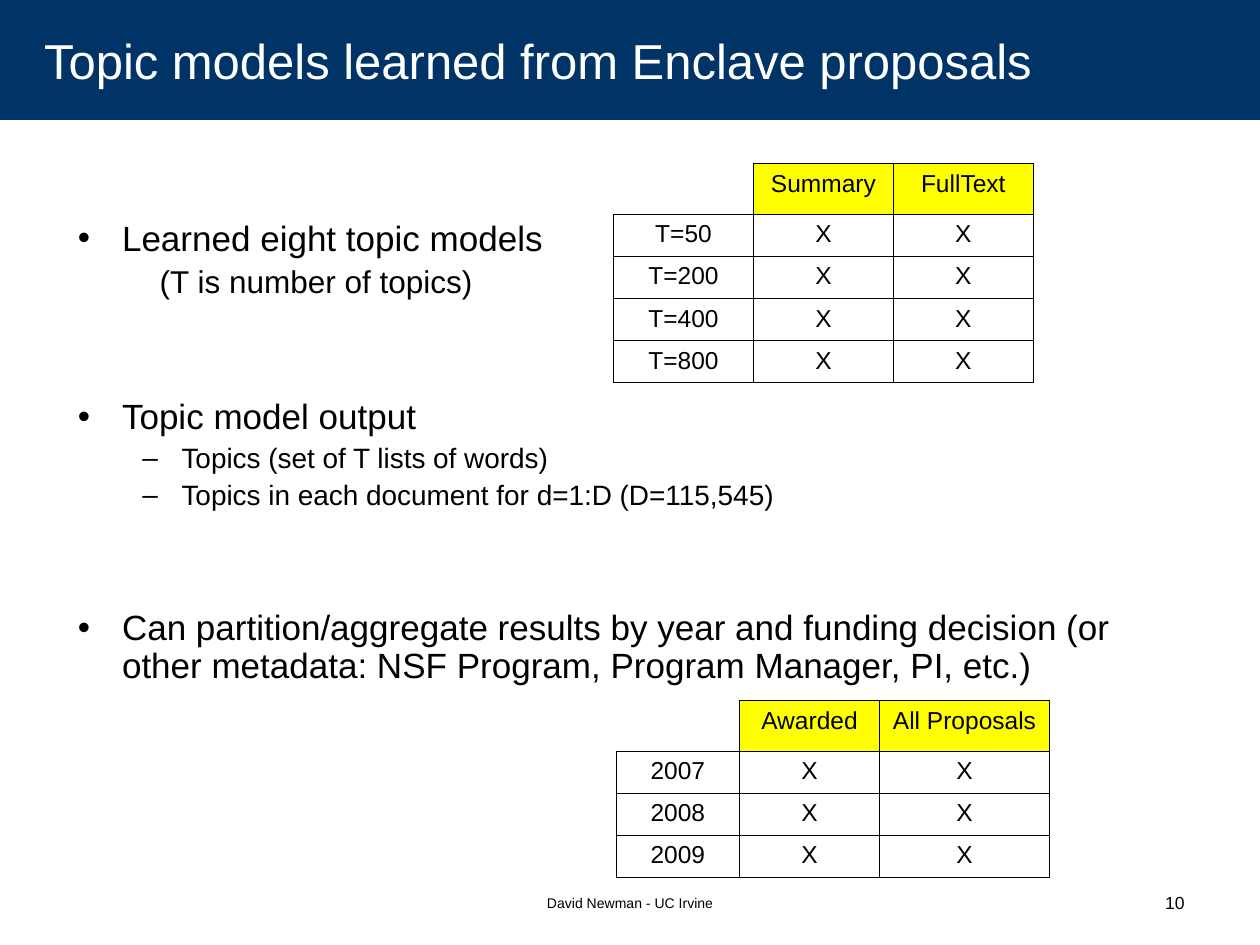
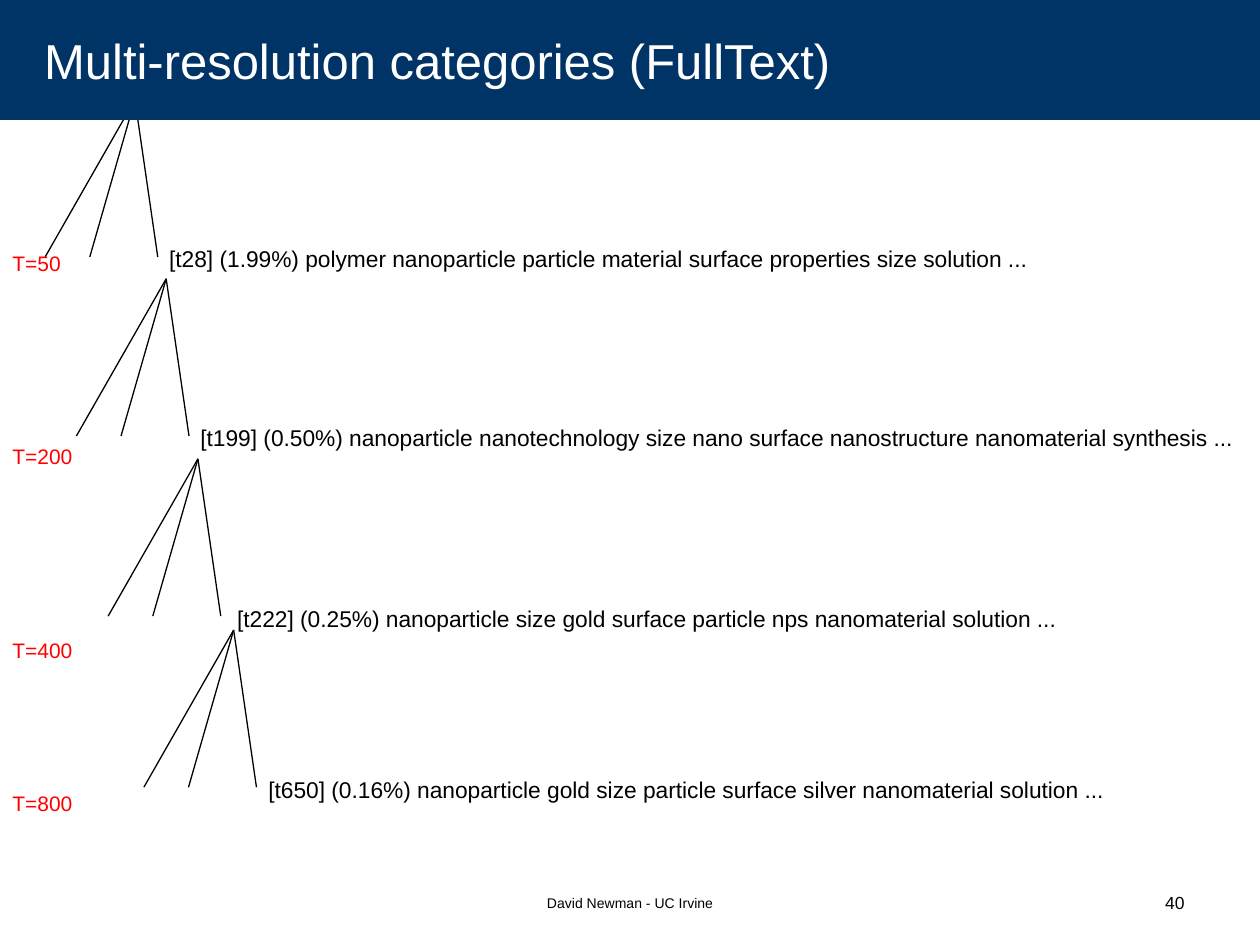
from pptx import Presentation
from pptx.dml.color import RGBColor
from pptx.enum.shapes import MSO_CONNECTOR
from pptx.enum.text import MSO_ANCHOR, MSO_AUTO_SIZE, PP_ALIGN
from pptx.oxml.ns import qn
from pptx.util import Cm, Pt
from lxml.etree import SubElement

# Shared look
NAVY = RGBColor(0x00, 0x33, 0x66)
WHITE = RGBColor(0xFF, 0xFF, 0xFF)
BLACK = RGBColor(0x00, 0x00, 0x00)
YELLOW = RGBColor(0xFF, 0xFF, 0x00)
RED = RGBColor(0xFF, 0x00, 0x00)
FONT = "Arial"
SLIDE_W, SLIDE_H = 25.4, 19.05
FOOTER = "David Newman - UC Irvine"

# Models slide: (kind, space before in points, text)
MODELS_TITLE = "Topic models learned from Enclave proposals"
MODELS_POINTS = [
    ("point", 5, "Learned eight topic models"),
    ("note", 4.5, "(T is number of topics)"),
    ("point", 56.5, "Topic model output"),
    ("detail", 4, "Topics (set of T lists of words)"),
    ("detail", 4, "Topics in each document for d=1:D (D=115,545)"),
    ("point", 56.5, "Can partition/aggregate results by year and funding decision "
                    "(or other metadata: NSF Program, Program Manager, PI, etc.)"),
]
# kind: (level, size, left margin, first-line indent)
POINT_STYLES = {
    "point": (0, 20, 1.19, -0.89),
    "note": (1, 18, 1.95, 0),
    "detail": (1, 16, 2.39, -0.79),
}
# Every combination of row and column is marked
GRIDS = [
    dict(left=12.37, top=3.3, widths=[2.82, 2.82, 2.82],
         heads=["Summary", "FullText"], rows=["T=50", "T=200", "T=400", "T=800"]),
    dict(left=12.42, top=14.12, widths=[2.49, 2.82, 3.43],
         heads=["Awarded", "All Proposals"], rows=["2007", "2008", "2009"]),
]
HEAD_H, ROW_H = 0.96, 0.85

# Categories slide: (apex x, apex y, topic left, topic)
TREE_TITLE = "Multi-resolution categories (FullText)"
TOPICS = [
    (2.72, 2.01, 3.18, "[t28] (1.99%) polymer nanoparticle particle material "
                       "surface properties size solution ..."),
    (3.35, 5.62, 3.81, "[t199] (0.50%) nanoparticle nanotechnology size nano "
                       "surface nanostructure nanomaterial synthesis ..."),
    (3.99, 9.25, 4.55, "[t222] (0.25%) nanoparticle size gold surface particle "
                       "nps nanomaterial solution ..."),
    (4.71, 12.7, 5.18, "[t650] (0.16%) nanoparticle gold size particle surface "
                       "silver nanomaterial solution ..."),
]
BRANCH_DX, BRANCH_DY = (-1.81, -0.91, 0.46), 3.17
TOPIC_DROP = 2.81
# (label, space before in points)
LEVELS = [("T=50", 7.5), ("T=200", 96), ("T=400", 96), ("T=800", 73.5)]


def style(p, size, color=BLACK, align=PP_ALIGN.LEFT):
    p.alignment = align
    for r in p.runs:
        r.font.name, r.font.size, r.font.color.rgb = FONT, Pt(size), color


def place(sp, left, top, width, height):
    sp.left, sp.top, sp.width, sp.height = Cm(left), Cm(top), Cm(width), Cm(height)


def add_text(s, text, left, top, width, height, size, color=BLACK, align=PP_ALIGN.LEFT):
    tf = s.shapes.add_textbox(Cm(left), Cm(top), Cm(width), Cm(height)).text_frame
    tf.word_wrap = True
    tf.text = text
    for p in tf.paragraphs:
        style(p, size, color, align)
    return tf


def new_slide(prs, layout, title, number):
    s = prs.slides.add_slide(prs.slide_layouts.get_by_name(layout))
    # Title band
    sp = s.shapes.title
    place(sp, 0, 0, SLIDE_W, 2.42)
    sp.fill.solid()
    sp.fill.fore_color.rgb = NAVY
    tf = sp.text_frame
    tf.text = title
    tf.auto_size = MSO_AUTO_SIZE.NONE
    tf.vertical_anchor = MSO_ANCHOR.MIDDLE
    tf.margin_left = Cm(0.89)
    style(tf.paragraphs[0], 28, WHITE)
    # Footer and slide number
    add_text(s, FOOTER, 8.68, 17.9, 8.05, 0.8, 8, align=PP_ALIGN.CENTER)
    add_text(s, number, 18.21, 17.85, 5.92, 0.82, 10, align=PP_ALIGN.RIGHT)
    return s


def add_points(s):
    sp = s.placeholders[1]
    place(sp, 1.27, 4.45, 22.86, 13)
    tf = sp.text_frame
    tf.auto_size = MSO_AUTO_SIZE.NONE
    tf.margin_left = tf.margin_right = tf.margin_top = tf.margin_bottom = 0
    tf.text = "\n".join(text for _, _, text in MODELS_POINTS)
    for p, (kind, before, _) in zip(tf.paragraphs, MODELS_POINTS):
        p.level, size, margin, indent = POINT_STYLES[kind]
        p.line_spacing, p.space_before, p.space_after = 0.9, Pt(before), Pt(0)
        style(p, size)
        pPr = p._p.get_or_add_pPr()
        pPr.set("marL", str(Cm(margin)))
        pPr.set("indent", str(Cm(indent)))
        if kind == "note":
            SubElement(pPr, qn("a:buNone"))


def set_borders(cell, visible):
    tcPr = cell._tc.get_or_add_tcPr()
    for side in "LRTB":
        ln = SubElement(tcPr, qn(f"a:ln{side}"), w=str(Pt(0.45)))
        if side in visible:
            fill = SubElement(ln, qn("a:solidFill"))
            SubElement(fill, qn("a:srgbClr"), val=str(BLACK))
        else:
            SubElement(ln, qn("a:noFill"))


def add_grid(s, left, top, widths, heads, rows):
    values = [["", *heads]] + [[row] + ["X"] * len(heads) for row in rows]
    heights = [HEAD_H] + [ROW_H] * len(rows)
    table = s.shapes.add_table(len(values), len(widths), Cm(left), Cm(top),
                               Cm(sum(widths)), Cm(sum(heights))).table
    table.first_row = table.horz_banding = False
    for column, width in zip(table.columns, widths):
        column.width = Cm(width)
    for i, height in enumerate(heights):
        table.rows[i].height = Cm(height)
        for j, value in enumerate(values[i]):
            cell = table.cell(i, j)
            cell.text = value
            style(cell.text_frame.paragraphs[0], 14, align=PP_ALIGN.CENTER)
            set_borders(cell, "LRTB" if value else "RB")
            if i == 0 and value:
                cell.fill.solid()
                cell.fill.fore_color.rgb = YELLOW
            else:
                cell.fill.background()


def add_branches(s, x, y):
    for dx in BRANCH_DX:
        line = s.shapes.add_connector(MSO_CONNECTOR.STRAIGHT, Cm(x), Cm(y),
                                      Cm(x + dx), Cm(y + BRANCH_DY))
        line.line.color.rgb = BLACK
        line.line.width = Pt(0.75)
        SubElement(line._element.spPr, qn("a:effectLst"))


def build_models(prs):
    s = new_slide(prs, "Title and Content", MODELS_TITLE, "10")
    add_points(s)
    for grid in GRIDS:
        add_grid(s, **grid)


def build_tree(prs):
    s = new_slide(prs, "Title Only", TREE_TITLE, "40")
    for x, y, left, topic in TOPICS:
        add_branches(s, x, y)
        tf = add_text(s, topic, left, y + TOPIC_DROP, SLIDE_W - left, 1.65, 13)
        tf.margin_left = tf.margin_right = Cm(0.23)
        tf.margin_top = tf.margin_bottom = Cm(0.1)
        tf.paragraphs[0].line_spacing = 1.04
    # The title band covers the tip of the first fan
    band = s.shapes.title.element
    band.getparent().append(band)
    # Resolution labels down the left edge
    tf = add_text(s, "\n".join(label for label, _ in LEVELS), 0, 4.93, 2.03, 11.58, 12, RED)
    for p, (_, before) in zip(tf.paragraphs, LEVELS):
        p.space_before = Pt(before)


def main():
    prs = Presentation()
    prs.slide_width, prs.slide_height = Cm(SLIDE_W), Cm(SLIDE_H)
    build_models(prs)
    build_tree(prs)
    prs.save("out.pptx")


if __name__ == "__main__":
    main()
